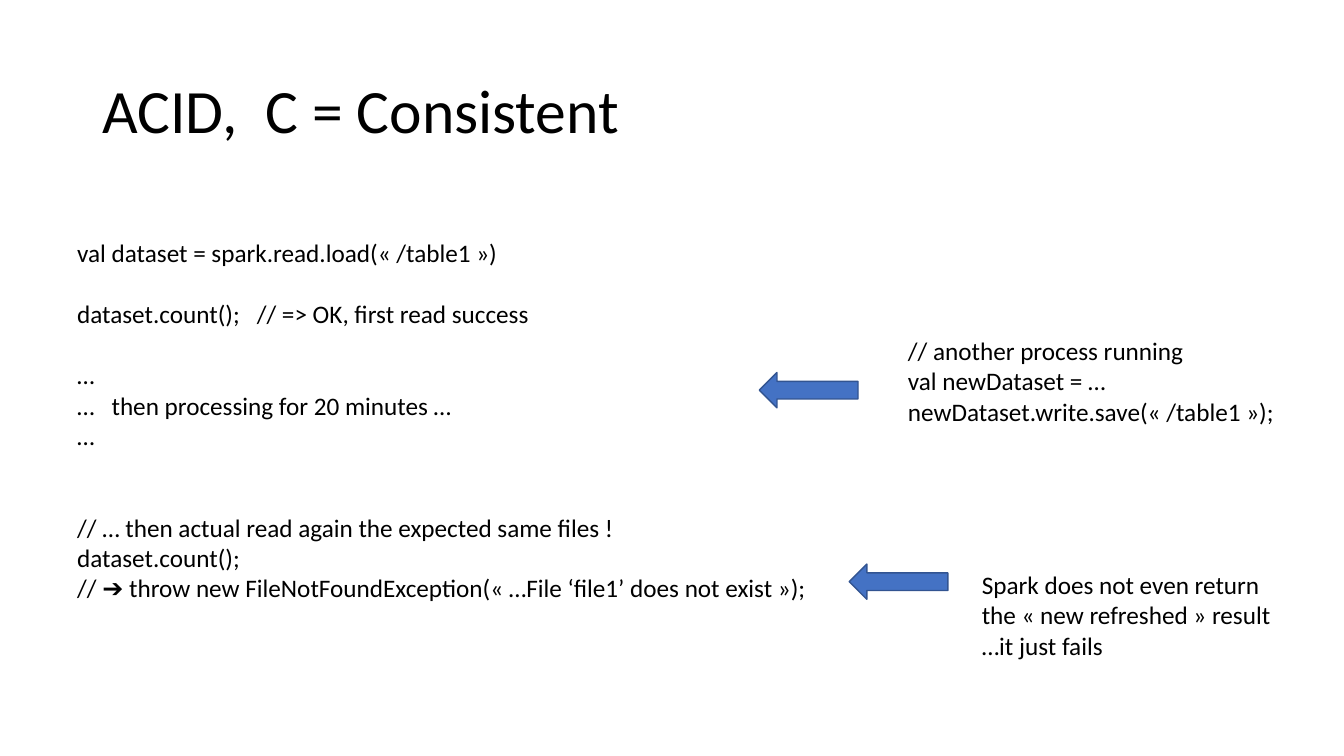
from pptx import Presentation
from pptx.dml.color import RGBColor
from pptx.enum.shapes import MSO_SHAPE
from pptx.enum.text import MSO_ANCHOR, MSO_AUTO_SIZE
from pptx.util import Inches, Pt

COLUMNS, ROWS = 32, 18
SLIDE_WIDTH, SLIDE_HEIGHT = Inches(13.33), Inches(7.5)
COLORS = {"text": "000000", "arrow": "4472C4", "outline": "325491"}
LINE_HEIGHT = 21.97
ARROW_SIZE = (2.35, 0.84)

TITLE_FRAME = {"word_wrap": True, "vertical_anchor": MSO_ANCHOR.MIDDLE}
BODY_FRAME = {"word_wrap": False, "auto_size": MSO_AUTO_SIZE.SHAPE_TO_FIT_TEXT}
TITLE_FONT = {"name": "Calibri", "size": Pt(44)}
BODY_FONT = {"name": "Calibri", "size": Pt(18)}

READER_CODE = [
    ("val dataset = spark.read.load(« /table1 »)", 0),
    ("dataset.count();   // => OK, first read success", 1),
    ("…", 1),
    ("…   then processing for 20 minutes …", 0),
    ("…", 0),
    ("// … then actual read again the expected same files !", 2),
    ("dataset.count();", 0),
    ("// ➔ throw new FileNotFoundException(« …File ‘file1’ does not exist »);", 0),
]
WRITER_CODE = [
    ("// another process running", 0),
    ("val newDataset = …", 0),
    ("newDataset.write.save(« /table1 »);", 0),
]
FAILURE_NOTE = [
    ("Spark does not even return", 0),
    ("the « new refreshed » result", 0),
    ("…it just fails", 0),
]


def place(column, row, width, height):
    return (
        round(SLIDE_WIDTH * column / COLUMNS),
        round(SLIDE_HEIGHT * row / ROWS),
        round(SLIDE_WIDTH * width / COLUMNS),
        round(SLIDE_HEIGHT * height / ROWS),
    )


def apply_format(target, values):
    for name, value in values.items():
        setattr(target, name, value)


def add_text(slide, cell, lines, font=BODY_FONT, frame=BODY_FRAME, spacing=1.0):
    text_frame = slide.shapes.add_textbox(*place(*cell)).text_frame
    apply_format(text_frame, frame)
    for index, (line, gap_lines) in enumerate(lines):
        paragraph = text_frame.add_paragraph() if index else text_frame.paragraphs[0]
        paragraph.line_spacing = spacing
        if gap_lines:
            paragraph.space_before = Pt(gap_lines * LINE_HEIGHT)
        run = paragraph.add_run()
        run.text = line
        apply_format(run.font, font)
        run.font.color.rgb = RGBColor.from_string(COLORS["text"])


def add_left_arrow(slide, column, row):
    shape = slide.shapes.add_shape(
        MSO_SHAPE.LEFT_ARROW, *place(column, row, *ARROW_SIZE)
    )
    shape.shadow.inherit = False
    shape.fill.solid()
    shape.fill.fore_color.rgb = RGBColor.from_string(COLORS["arrow"])
    shape.line.color.rgb = RGBColor.from_string(COLORS["outline"])
    shape.line.width = Pt(1)


def main():
    presentation = Presentation()
    apply_format(
        presentation, {"slide_width": SLIDE_WIDTH, "slide_height": SLIDE_HEIGHT}
    )
    slide = presentation.slides.add_slide(presentation.slide_layouts[6])
    add_text(
        slide, (2.2, 0.96, 27.6, 3.48), [("ACID,  C = Consistent", 0)],
        TITLE_FONT, TITLE_FRAME, 0.9,
    )
    add_text(slide, (1.6, 5.54, 18.2, 10.42), READER_CODE)
    add_left_arrow(slide, 18.08, 8.87)
    add_text(slide, (21.38, 7.87, 9.29, 3.14), WRITER_CODE)
    add_left_arrow(slide, 20.22, 13.43)
    add_text(slide, (23.14, 13.44, 7.44, 2.42), FAILURE_NOTE)
    presentation.save("out.pptx")


if __name__ == "__main__":
    main()
